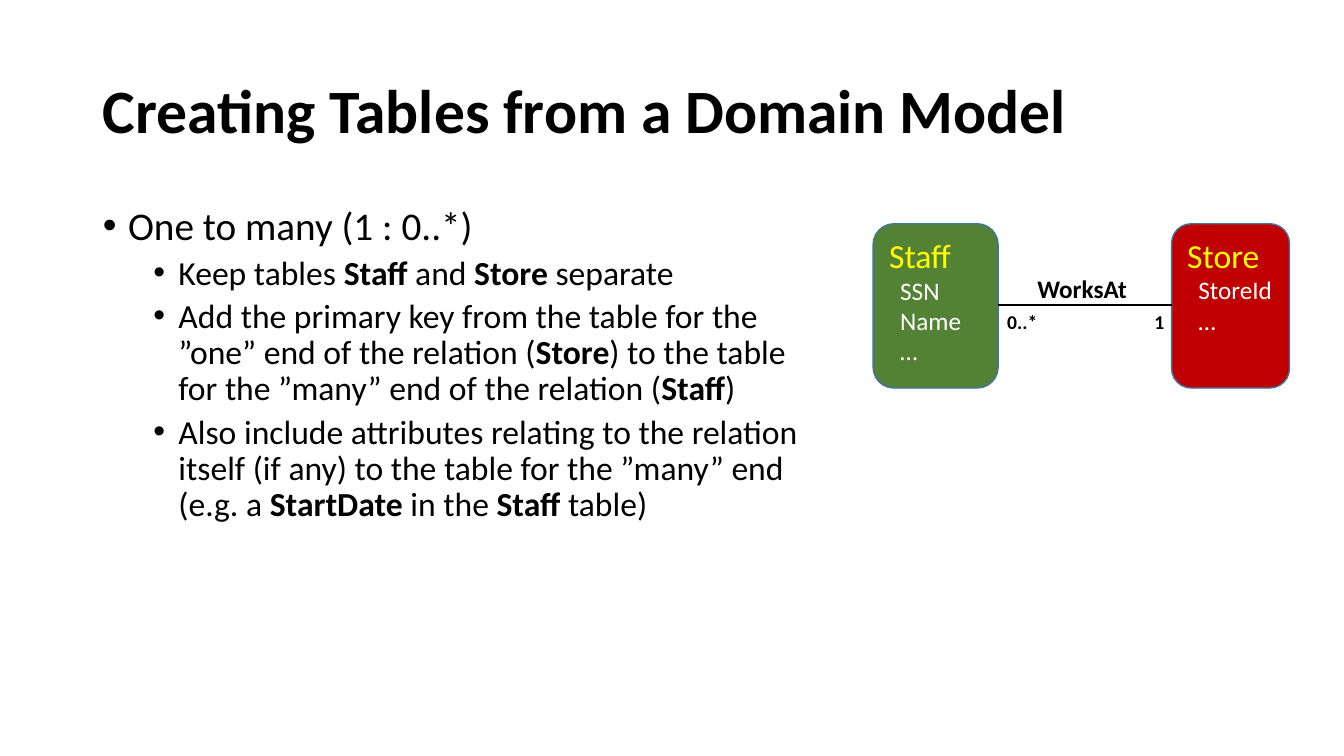
from lxml import etree
from pptx import Presentation
from pptx.dml.color import RGBColor
from pptx.enum.shapes import MSO_CONNECTOR, MSO_SHAPE
from pptx.enum.text import MSO_ANCHOR, MSO_AUTO_SIZE, PP_ALIGN
from pptx.oxml.ns import qn
from pptx.util import Inches, Pt

LEFT = PP_ALIGN.LEFT
TOP, MIDDLE = MSO_ANCHOR.TOP, MSO_ANCHOR.MIDDLE
NO_FIT, GROW = MSO_AUTO_SIZE.NONE, MSO_AUTO_SIZE.SHAPE_TO_FIT_TEXT
ROUNDED, STRAIGHT = MSO_SHAPE.ROUNDED_RECTANGLE, MSO_CONNECTOR.STRAIGHT
COLORS = {"black": "000000", "white": "FFFFFF", "yellow": "FFFF00",
          "staff": "548235", "store": "C00000", "outline": "43739E"}


def add_run(paragraph, text, size, color="black", bold=False):
    run = paragraph.add_run()
    run.text = text
    run.font.name = "Calibri"
    run.font.size = Pt(size)
    run.font.bold = bold
    run.font.color.rgb = RGBColor.from_string(COLORS[color])


def set_indent(paragraph, left, hanging=0):
    properties = paragraph._p.get_or_add_pPr()
    properties.set("marL", str(Inches(left)))
    properties.set("indent", str(Inches(-hanging)))
    return properties


presentation = Presentation()
presentation.slide_width = Inches(13.33)
presentation.slide_height = Inches(7.5)
slide = presentation.slides.add_slide(presentation.slide_layouts[1])

# Title and body placeholders
title, body = slide.shapes.title, slide.placeholders[1]
for placeholder, top, width, height, anchor in [
    (title, 0.4, 11.5, 1.45, MIDDLE),
    (body, 2, 7.31, 4.76, TOP),
]:
    placeholder.left, placeholder.top = Inches(0.92), Inches(top)
    placeholder.width, placeholder.height = Inches(width), Inches(height)
    placeholder.text_frame.auto_size = NO_FIT
    placeholder.text_frame.vertical_anchor = anchor

paragraph = title.text_frame.paragraphs[0]
paragraph.alignment = LEFT
paragraph.line_spacing = 0.9
add_run(paragraph, "Creating Tables from a Domain Model", 44, bold=True)

# Bullets: every second run is bold
bullets = [
    (0, ["One to many (1 : 0..*)"]),
    (1, ["Keep tables ", "Staff", " and ", "Store", " separate"]),
    (1, ["Add the primary key from the table for the ”one” end of the relation (",
         "Store", ") to the table for the ”many” end of the relation (",
         "Staff", ")"]),
    (1, ["Also include attributes relating to the relation itself (if any) "
         "to the table for the ”many” end (e.g. a ",
         "StartDate", " in the ", "Staff", " table)"]),
]
for index, (level, texts) in enumerate(bullets):
    frame = body.text_frame
    paragraph = frame.add_paragraph() if index else frame.paragraphs[0]
    paragraph.level = level
    paragraph.line_spacing = 0.9
    paragraph.space_before = Pt(5 if level else 10)
    properties = set_indent(paragraph, 0.25 + 0.5 * level, 0.25)
    etree.SubElement(properties, qn("a:buFont")).set("typeface", "Arial")
    etree.SubElement(properties, qn("a:buChar")).set("char", "•")
    for position, text in enumerate(texts):
        add_run(paragraph, text, 24 if level else 28, bold=position % 2 == 1)

# Entity boxes
entities = [
    ("Staff", 8.66, 1.24, "staff", ["SSN", "Name", "…"]),
    ("Store", 11.62, 1.17, "store", ["StoreId", "…"]),
]
for name, left, width, fill, attributes in entities:
    box = slide.shapes.add_shape(ROUNDED, Inches(left), Inches(2.22),
                                 Inches(width), Inches(1.63))
    box.shadow.inherit = False
    box.fill.solid()
    box.fill.fore_color.rgb = RGBColor.from_string(COLORS[fill])
    box.line.color.rgb = RGBColor.from_string(COLORS["outline"])
    box.line.width = Pt(1)
    frame = box.text_frame
    frame.word_wrap = True
    frame.vertical_anchor = TOP
    paragraph = frame.paragraphs[0]
    paragraph.alignment = LEFT
    add_run(paragraph, name, 24, "yellow")
    for attribute in attributes:
        paragraph = frame.add_paragraph()
        paragraph.alignment = LEFT
        set_indent(paragraph, 0.11)
        add_run(paragraph, attribute, 18, "white")

# Relation line
relation = slide.shapes.add_connector(STRAIGHT, Inches(9.9), Inches(3.03),
                                      Inches(11.62), Inches(3.03))
relation.line.color.rgb = RGBColor.from_string(COLORS["black"])
relation.line.width = Pt(1.5)
etree.SubElement(relation._element.spPr, qn("a:effectLst"))

# Relation name and multiplicities
labels = [
    ("WorksAt", 10.19, 2.66, 1.1, 0.4, 18, False),
    ("0..*", 9.89, 3.03, 0.51, 0.34, 14, False),
    ("1", 11.35, 3.03, 0.24, 0.34, 14, True),
]
for text, left, top, width, height, size, wrap in labels:
    label = slide.shapes.add_textbox(Inches(left), Inches(top),
                                     Inches(width), Inches(height))
    label.text_frame.word_wrap = wrap
    label.text_frame.auto_size = GROW
    add_run(label.text_frame.paragraphs[0], text, size, bold=True)

presentation.save("out.pptx")
